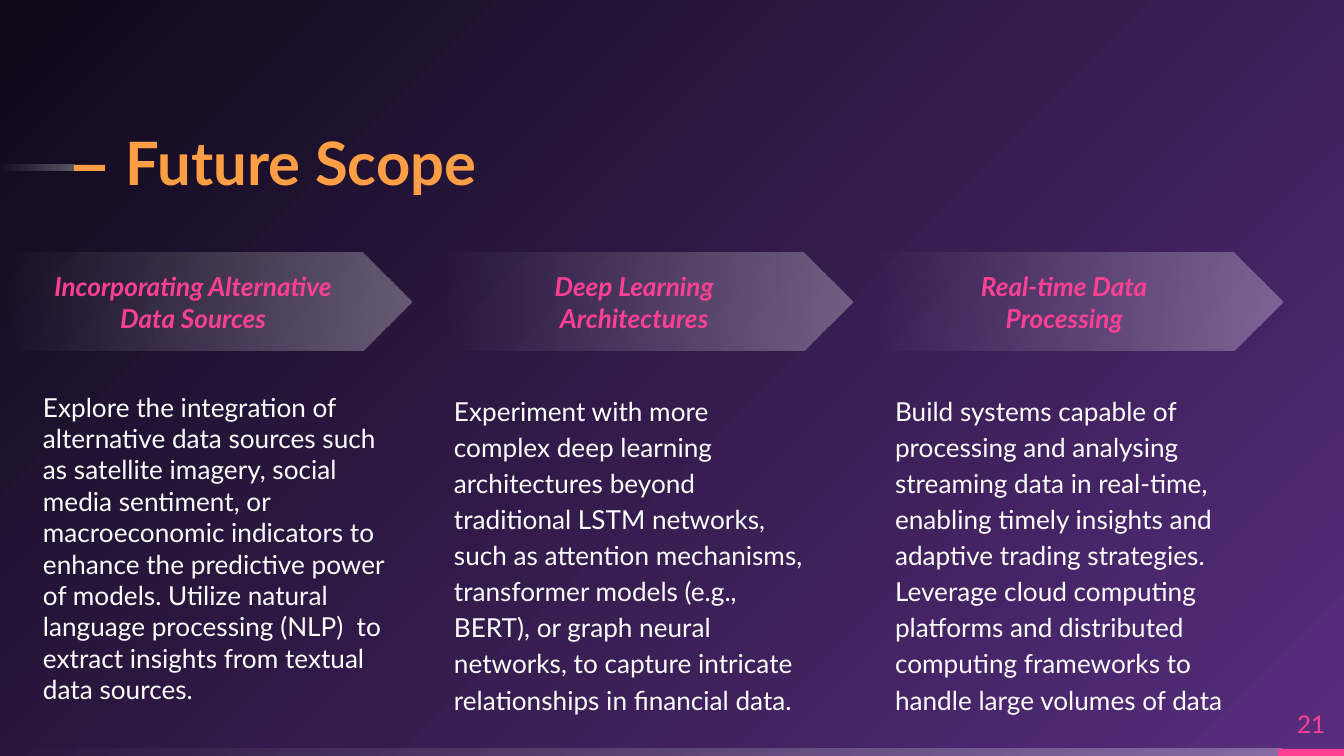
import pptx
import pptx.util
import pptx.dml.color
import pptx.enum.shapes
import pptx.enum.text
import pptx.oxml.ns
import pptx.oxml.xmlchemy

PX = 9144000 / 1344  # EMU in one px
ORANGE, PINK, WHITE = "FF9E44", "FF4093", "FFFFFF"
VIOLET, NIGHT = "572D7E", "0E0918"
SHAPE = pptx.enum.shapes.MSO_SHAPE
ANCHOR = pptx.enum.text.MSO_ANCHOR
ALIGN = pptx.enum.text.PP_ALIGN

COLUMNS = [  # arrow x, heading lines, text box (x, width, height), line spacing, text
    (0, ["Incorporating Alternative", "Data Sources"], (30, 383, 313), 1.0,
     "Explore the integration of alternative data sources such as satellite imagery, "
     "social media sentiment, or macroeconomic indicators to enhance the predictive power "
     "of models. Utilize natural language processing (NLP)  to extract insights from "
     "textual data sources."),
    (441, ["Deep Learning", "Architectures"], (441, 383, 265), 1.15,
     "Experiment with more complex deep learning architectures beyond traditional LSTM "
     "networks, such as attention mechanisms, transformer models (e.g., BERT), or graph "
     "neural networks, to capture intricate relationships in financial data."),
    (871, ["Real-time Data", "Processing"], (882, 402, 265), 1.15,
     "Build systems capable of processing and analysing streaming data in real-time, "
     "enabling timely insights and adaptive trading strategies. Leverage cloud computing "
     "platforms and distributed computing frameworks to handle large volumes of data"),
]


def px(length):
    return pptx.util.Emu(round(length * PX))


def rgb(color):
    return pptx.dml.color.RGBColor.from_string(color)


def xml(tag, **attributes):
    element = pptx.oxml.xmlchemy.OxmlElement(tag)
    for name, value in attributes.items():
        element.set(name, value)
    return element


def write(frame, lines, size, color, align=ALIGN.LEFT, anchor=ANCHOR.TOP,
          inset=0, spacing=1.0, bold=False, italic=False):
    frame.word_wrap = True
    frame.auto_size = pptx.enum.text.MSO_AUTO_SIZE.NONE
    frame.vertical_anchor = anchor
    frame.margin_left = frame.margin_right = px(inset)
    frame.margin_top = frame.margin_bottom = px(inset)
    for index, line in enumerate(lines):
        paragraph = frame.paragraphs[0] if index == 0 else frame.add_paragraph()
        paragraph.alignment = align
        paragraph.line_spacing = spacing
        run = paragraph.add_run()
        run.text = line
        run.font.name = "Lato"
        run.font.size = pptx.util.Pt(size)
        run.font.bold = bold
        run.font.italic = italic
        run.font.color.rgb = rgb(color)


def add_text(slide, box, lines, size, color, **style):
    text_box = slide.shapes.add_textbox(*map(px, box))
    write(text_box.text_frame, lines, size, color, **style)


def add_plain(slide, kind, box):
    shape = slide.shapes.add_shape(kind, *map(px, box))
    shape.shadow.inherit = False
    shape.line.fill.background()
    return shape


def add_solid(slide, box, color):
    bar = add_plain(slide, SHAPE.RECTANGLE, box)
    bar.fill.solid()
    bar.fill.fore_color.rgb = rgb(color)


def set_gradient(fill, colors):
    fill.gradient()
    for stop, color, position in zip(fill.gradient_stops, colors, (0, 1)):
        stop.color.rgb = rgb(color)
        stop.position = position


def add_fading(slide, kind, box):
    """A white shape that fades out towards the left."""
    shape = add_plain(slide, kind, box)
    set_gradient(shape.fill, (WHITE, WHITE))
    shape.fill.gradient_angle = 180
    colors = shape._element.spPr.iter(pptx.oxml.ns.qn("a:srgbClr"))
    for color, alpha in zip(colors, ("30000", "0")):
        color.append(xml("a:alpha", val=alpha))
    return shape


def paint_background(slide):
    # Glow spreading from the lower right corner
    set_gradient(slide.background.fill, (VIOLET, NIGHT))
    gradient = slide._element.xpath(".//p:bg//a:gradFill")[0]
    gradient.remove(gradient.find(pptx.oxml.ns.qn("a:lin")))
    circle = xml("a:path", path="circle")
    circle.append(xml("a:fillToRect", l="100000", t="100000"))
    gradient.append(circle)


def add_footer(slide, left, top, width, height):
    tab = 66
    add_fading(slide, SHAPE.RECTANGLE, (left, top, width - tab + 4, height))
    add_solid(slide, (left + width - tab, top, tab, height), PINK)
    add_text(slide, (left + width - tab, top - 51, tab, 51), ["21"], 13, PINK,
             align=ALIGN.CENTER, anchor=ANCHOR.MIDDLE)


def add_heading(slide, left, top, width, height):
    # Dash leading into the title
    add_fading(slide, SHAPE.RECTANGLE, (left, top + 25, 75, 6))
    add_solid(slide, (left + 74, top + 25, 31, 6), ORANGE)
    title = slide.shapes.title
    title.left, title.top = px(left + 126), px(top)
    title.width, title.height = px(width - 126), px(height)
    write(title.text_frame, ["Future Scope"], 32, ORANGE,
          anchor=ANCHOR.BOTTOM, spacing=0.9, bold=True)


def add_column(slide, left, top, heading, text_box, spacing, text):
    arrow = add_fading(slide, SHAPE.PENTAGON, (left, top, 411, 98))
    arrow.adjustments[0] = 0.5
    write(arrow.text_frame, heading, 14, PINK, align=ALIGN.CENTER,
          anchor=ANCHOR.MIDDLE, inset=13, bold=True, italic=True)
    text_left, width, height = text_box
    add_text(slide, (text_left, top + 125, width, height), [text], 14, WHITE,
             inset=13, spacing=spacing)


def main():
    presentation = pptx.Presentation()
    presentation.slide_width, presentation.slide_height = px(1344), px(756)
    slide = presentation.slides.add_slide(presentation.slide_layouts[5])
    paint_background(slide)
    add_footer(slide, 0, 749, 1344, 7)
    add_heading(slide, 0, 140, 906, 58)
    for left, *content in COLUMNS:
        add_column(slide, left, 253, *content)
    presentation.save("out.pptx")


if __name__ == "__main__":
    main()
